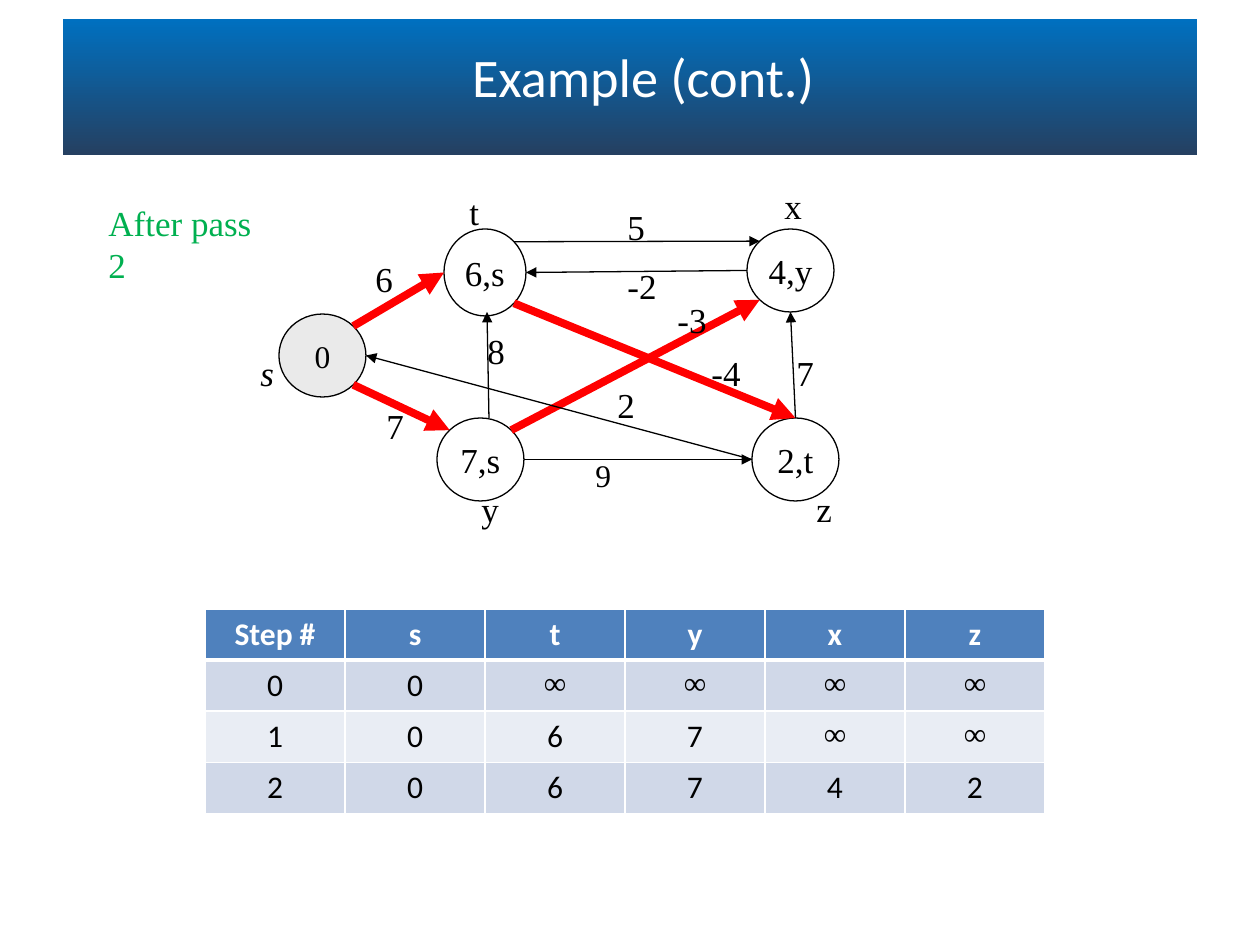
from math import cos, radians, sin

from lxml import etree
from pptx import Presentation
from pptx import util as u
from pptx.dml.color import RGBColor
from pptx.enum import shapes, text
from pptx.oxml import ns

SCALE = u.Inches(1) / 126
SERIF, SANS = "Times New Roman", "Calibri"
COLORS = {
    "band_top": "0070C0", "band_bottom": "254061", "white": "FFFFFF", "black": "000000",
    "source": "EAEAEA", "path": "FF0000", "caption": "00B050",
    "header": "4F81BD", "odd": "D0D8E8", "even": "E9EDF4",
}
NODES = {
    "s": ("0", 279, 314, 87, 83),
    "t": ("6,s", 444, 229, 82, 87),
    "x": ("4,y", 747, 229, 87, 83),
    "y": ("7,s", 437, 418, 87, 83),
    "z": ("2,t", 752, 418, 87, 83),
}
ANGLES = {"right": 0, "lower right": 45, "bottom": 90, "lower left": 135,
          "left": 180, "upper left": 225, "top": 270, "upper right": 315}
EDGES = [
    ("t", "upper right", "x", "upper left"),
    ("x", "left", "t", "right"),
    ("y", "right", "z", "left"),
    ("z", "left", "s", "right"),
    ("z", "top", "x", "bottom"),
]
PATH_EDGES = [
    ("s", "upper right", "t", "left"),
    ("s", "lower right", "y", "upper left"),
    ("y", "upper right", "x", "lower left"),
    ("t", "lower right", "z", "top"),
]
LABELS = [
    ("6", 363, 251, 43), ("7", 374, 398, 43), ("5", 615, 199, 43),
    ("-3", 665, 292, 54), ("8", 475, 323, 43), ("7", 784, 345, 43), ("-4", 699, 345, 54),
    ("2", 605, 377, 42), ("-2", 615, 258, 54), ("y", 469, 481, 43), ("z", 804, 481, 40),
    ("x", 772, 178, 39), ("t", 457, 184, 35),
]
STEPS = [
    ["Step #", "s", "t", "y", "x", "z"],
    ["0", "0", "∞", "∞", "∞", "∞"],
    ["1", "0", "6", "7", "∞", "∞"],
    ["2", "0", "6", "7", "4", "2"],
]


def px(length):
    """Turn pixels into EMU."""
    return round(length * SCALE)


def rgb(name):
    """Look up a named colour."""
    return RGBColor.from_string(COLORS[name])


def write(frame, words, size, color="black", face=SERIF, align=None, bold=False, italic=False):
    """Put one formatted paragraph in a text frame."""
    para = frame.paragraphs[0]
    para.text = words
    para.alignment = align
    font = para.font
    font.name, font.size, font.bold, font.italic = face, u.Pt(size), bold, italic
    font.color.rgb = rgb(color)


def add_title(page, words):
    """Set the title over a gradient band."""
    band = page.shapes.add_shape(shapes.MSO_SHAPE.RECTANGLE, *map(px, (63, 19, 1134, 136)))
    band.shadow.inherit = False
    band.line.fill.background()
    band.fill.gradient()
    band.fill.gradient_angle = 270
    for stop, name in zip(band.fill.gradient_stops, ("band_top", "band_bottom")):
        stop.color.rgb = rgb(name)
    page.shapes._spTree.insert(2, band._element)
    title = page.shapes.title
    title.left, title.top, title.width, title.height = map(px, (76, 32, 1134, 88))
    title.text_frame.vertical_anchor = text.MSO_ANCHOR.MIDDLE
    write(title.text_frame, words, 31, "white", SANS, text.PP_ALIGN.CENTER)


def add_node(page, words, left, top, width, height, fill="white", size=20):
    """Draw a graph vertex with its distance and predecessor."""
    node = page.shapes.add_shape(shapes.MSO_SHAPE.OVAL, *map(px, (left, top, width, height)))
    node.shadow.inherit = False
    node.fill.solid()
    node.fill.fore_color.rgb = rgb(fill)
    node.line.color.rgb = rgb("black")
    node.line.width = u.Pt(0.75)
    node.text_frame.word_wrap = False
    node.text_frame.vertical_anchor = text.MSO_ANCHOR.MIDDLE
    write(node.text_frame, words, size, align=text.PP_ALIGN.CENTER)


def rim(name, side):
    """Find the point on a vertex outline at the given side."""
    _, left, top, width, height = NODES[name]
    angle = radians(ANGLES[side])
    return left + width / 2 * (1 + cos(angle)), top + height / 2 * (1 + sin(angle))


def add_arrow(page, start, tip, color="black", weight=0.75):
    """Draw a straight arrow from start to tip."""
    arrow = page.shapes.add_connector(shapes.MSO_CONNECTOR.STRAIGHT, *map(px, (*start, *tip)))
    arrow.line.color.rgb = rgb(color)
    arrow.line.width = u.Pt(weight)
    etree.SubElement(arrow.line._get_or_add_ln(), ns.qn("a:tailEnd"), type="triangle")
    etree.SubElement(arrow._element.spPr, ns.qn("a:effectLst"))


def add_label(page, words, left, top, width, size=20, color="black", italic=False):
    """Add a one-line text box."""
    box = page.shapes.add_textbox(*map(px, (left, top, width, 54)))
    box.text_frame.word_wrap = False
    box.text_frame.auto_size = text.MSO_AUTO_SIZE.SHAPE_TO_FIT_TEXT
    write(box.text_frame, words, size, color, italic=italic)


def add_border(cell, side, weight):
    """Give one side of a cell a white border."""
    line = etree.SubElement(cell._tc.get_or_add_tcPr(), ns.qn(f"a:ln{side}"), w=str(u.Pt(weight)))
    fill = etree.SubElement(line, ns.qn("a:solidFill"))
    etree.SubElement(fill, ns.qn("a:srgbClr"), val=COLORS["white"])


def add_steps(page):
    """Add the table of distances after each step."""
    frame = page.shapes.add_table(len(STEPS), len(STEPS[0]), *map(px, (205, 609, 840, 204)))
    for r, row in enumerate(STEPS):
        fill = "header" if r == 0 else "odd" if r % 2 else "even"
        for c, words in enumerate(row):
            cell = frame.table.cell(r, c)
            weights = {"L": 1, "R": 1, "T": 3 if r == 1 else 1, "B": 3 if r == 0 else 1}
            for side, weight in weights.items():
                add_border(cell, side, weight)
            cell.fill.solid()
            cell.fill.fore_color.rgb = rgb(fill)
            write(cell.text_frame, words, 18, "black" if r else "white",
                  SERIF if words == "∞" else SANS, text.PP_ALIGN.CENTER, bold=r == 0)


def main():
    """Build the slide and save it."""
    deck = Presentation()
    deck.slide_width, deck.slide_height = px(1260), px(945)
    page = deck.slides.add_slide(deck.slide_layouts[5])
    add_title(page, "Example (cont.)")
    add_steps(page)
    for name, node in NODES.items():
        add_node(page, *node, *(("source", 18) if name == "s" else ()))
    for tail, leave, head, enter in PATH_EDGES:
        add_arrow(page, rim(tail, leave), rim(head, enter), "path", 4.5)
    for tail, leave, head, enter in EDGES:
        add_arrow(page, rim(tail, leave), rim(head, enter))
    add_arrow(page, (489, 418), (487, 312))
    for label in LABELS:
        add_label(page, *label)
    add_label(page, "9", 583, 450, 42, size=18)
    add_label(page, "s", 248, 345, 39, italic=True)
    add_label(page, "After pass 2", 96, 195, 194, color="caption")
    deck.save("out.pptx")


if __name__ == "__main__":
    main()
